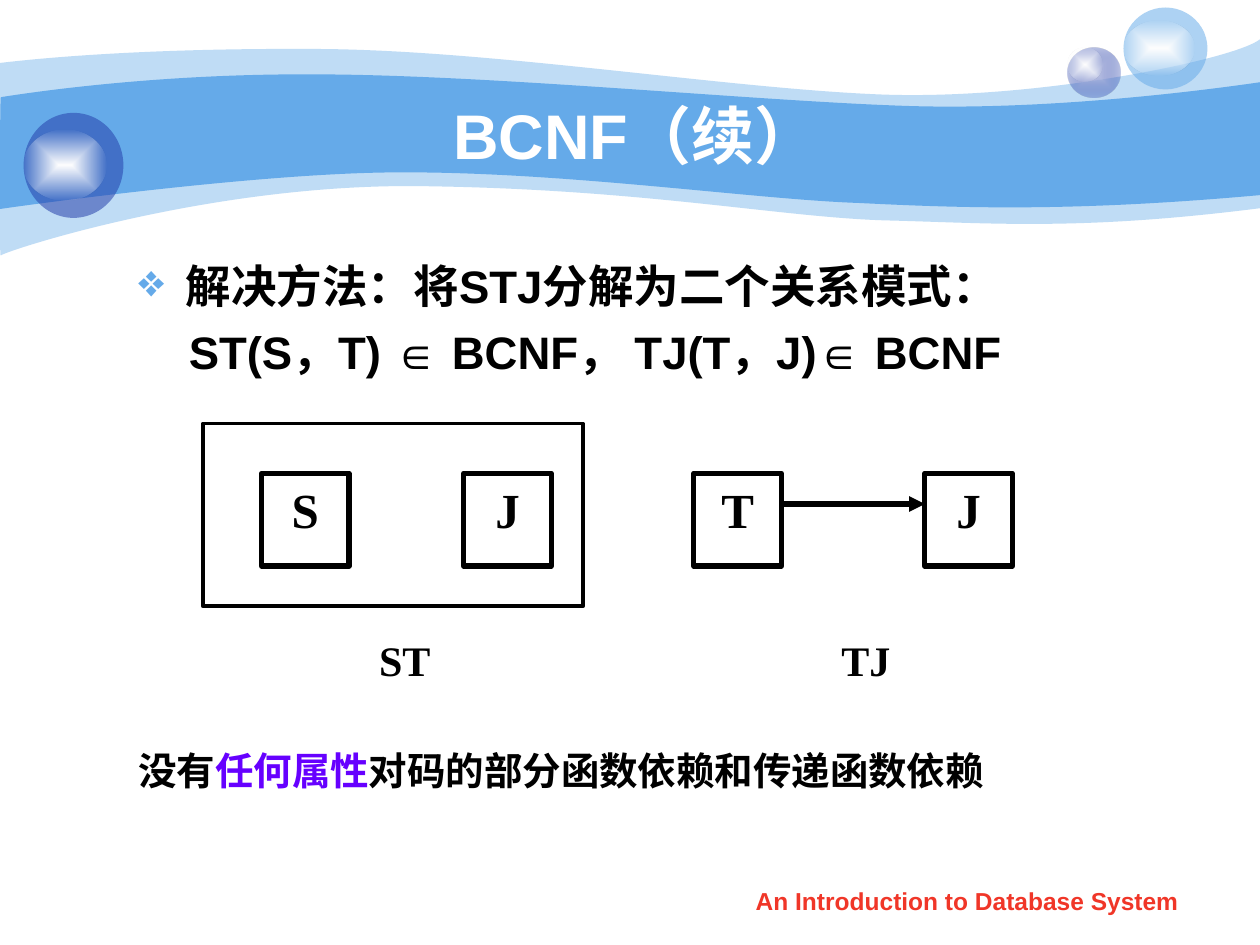
from itertools import chain
from lxml.etree import SubElement
from pptx import Presentation
from pptx.dml.color import RGBColor
from pptx.enum.shapes import MSO_CONNECTOR as Connector, MSO_SHAPE as Shape
from pptx.enum.text import MSO_ANCHOR as Anchor, PP_ALIGN as Align
from pptx.oxml import parse_xml
from pptx.oxml.ns import nsdecls, qn
from pptx.util import Pt

THEME = {
    "sky": "65AAE9", "navy": "233DA9", "mist": "C6CCE8", "white": "FFFFFF",
    "glow": "FEFEFE", "ink": "000000", "accent": "6600FF", "red": "F03628",
    "sans": "Arial", "serif": "Times New Roman",
    "title": 36, "body": 26, "conclusion": 22, "node": 28, "label": 24, "footer": 14,
}

WAVES = [
    (41, (0, 36), [
        [(17, 34), (77, 27.5), (178, 28)],
        [(278, 28), (414, 50.5), (503, 54)],
        [(592, 57.5), (705.5, 34), (720, 22.5)],
        [(720, 22.5), (720, 119), (720, 119)],
        [(618, 132), (566.5, 127.5), (507.5, 126)],
        [(448, 124.5), (371, 108.5), (247, 106.5)],
        [(124, 103.5), (3, 143.5), (0.5, 146)],
        [(-0.5, 150), (0, 54), (0, 36)],
    ]),
    (100, (0.5, 55.5), [
        [(1.5, 55.5), (79, 42), (178.5, 42.5)],
        [(278, 42.5), (428.5, 57.5), (517, 60.5)],
        [(605.5, 63.5), (702.5, 49.5), (720, 47)],
        [(720, 47), (720, 111.5), (720, 111.5)],
        [(614, 121), (551, 119), (491, 116)],
        [(431.5, 114), (322, 98), (228, 98.5)],
        [(146, 98.5), (-1.5, 119.5), (-0.5, 119.5)],
        [(0, 119.5), (0, 55.5), (0.5, 55.5)],
    ]),
]

GLOW = [("white", 100), ("glow", 0)]
BUBBLES = [
    ((610, 27, 30, 29), [("mist", 100), ("navy", 31)]),
    ((610, 27, 20, 19.5), GLOW),
    ((642, 4.3, 48, 46.8), [("sky", 53)]),
    ((642, 12, 40.3, 31), GLOW),
    ((13.5, 64.5, 57, 60), [("navy", 53)]),
    ((13.5, 74.2, 47.5, 40.3), GLOW),
]

TITLE = "BCNF（续）"
BODY = ["解决方法：将STJ分解为二个关系模式：", "ST(S，T) ∈ BCNF， TJ(T，J)∈ BCNF"]
CONCLUSION = [("没有", "ink"), ("任何属性", "accent"), ("对码的部分函数依赖和传递函数依赖", "ink")]
FOOTER = "An Introduction to Database System"

NODES = [("S", 149.5), ("J", 265), ("T", 396.5), ("J", 528.5)]
LABELS = [("ST", 198.5), ("TJ", 462)]
NODE_TOP, NODE_WIDTH, NODE_HEIGHT = 270.5, 50, 53
LABEL_TOP, LABEL_WIDTH = 359, 65.5
FRAME = (116, 242, 217, 104.5)
ARROW_Y = 288
HANGING = 27


def color(name):
    return RGBColor.from_string(THEME[name])


def paint(shape, stops):
    if len(stops) == 1:
        name, opacity = stops[0]
        shape.fill.solid()
        shape.fill.fore_color.rgb = color(name)
        tint = shape.element.spPr.find(".//" + qn("a:srgbClr"))
        SubElement(tint, qn("a:alpha"), val=str(opacity * 1000))
    else:
        shape.fill.background()
        marks = "".join(
            f'<a:gs pos="{place}"><a:srgbClr val="{THEME[name]}">'
            f'<a:alpha val="{opacity * 1000}"/></a:srgbClr></a:gs>'
            for place, (name, opacity) in zip((0, 100000), stops))
        gradient = parse_xml(
            f'<a:gradFill {nsdecls("a")} rotWithShape="1"><a:gsLst>{marks}</a:gsLst>'
            '<a:path path="rect"><a:fillToRect l="50000" t="50000" r="50000" b="50000"/>'
            '</a:path></a:gradFill>')
        blank = shape.element.spPr.find(qn("a:noFill"))
        blank.getparent().replace(blank, gradient)
    shape.line.fill.background()
    shape.shadow.inherit = False


def add_wave(page, opacity, start, curves):
    builder = page.shapes.build_freeform(Pt(start[0]), Pt(start[1]))
    builder.add_line_segments([(Pt(x), Pt(y)) for x, y in chain(*curves)])
    wave = builder.convert_to_shape()
    segments = wave.element.xpath(".//a:lnTo")
    for first in range(0, len(segments), 3):
        curve = parse_xml(f'<a:cubicBezTo {nsdecls("a")}/>')
        segments[first].addprevious(curve)
        for segment in segments[first:first + 3]:
            curve.append(segment[0])
            segment.getparent().remove(segment)
    paint(wave, [("sky", opacity)])


def add_span(para, text, size, font="sans", ink="ink"):
    span = para.add_run()
    span.text = text
    span.font.size = Pt(THEME[size])
    span.font.name = THEME[font]
    span.font.bold = True
    span.font.color.rgb = color(ink)


def first_para(box, align=Align.LEFT, anchor=Anchor.TOP):
    box.text_frame.word_wrap = True
    box.text_frame.vertical_anchor = anchor
    para = box.text_frame.paragraphs[0]
    para.alignment = align
    return para


def add_box(page, *place):
    return page.shapes.add_textbox(*map(Pt, place))


def add_outline(page, place, width):
    box = page.shapes.add_shape(Shape.RECTANGLE, *map(Pt, place))
    box.shadow.inherit = False
    box.fill.background()
    box.line.color.rgb = color("ink")
    box.line.width = Pt(width)
    return box


def add_body(page):
    box = add_box(page, 72, 144, 612, 90)
    para = first_para(box)
    props = para._p.get_or_add_pPr()
    props.set("marL", str(Pt(HANGING)))
    props.set("indent", str(-Pt(HANGING)))
    SubElement(SubElement(props, qn("a:buClr")), qn("a:srgbClr"), val=THEME["sky"])
    SubElement(props, qn("a:buChar"), char="❖")
    add_span(para, BODY[0], "body")
    para = box.text_frame.add_paragraph()
    para.space_before = Pt(6.5)
    para._p.get_or_add_pPr().set("marL", str(Pt(28.8)))
    add_span(para, BODY[1], "body")


def add_diagram(page):
    for text, left in NODES:
        box = add_outline(page, (left, NODE_TOP, NODE_WIDTH, NODE_HEIGHT), 3)
        add_span(first_para(box, Align.CENTER), text, "node", "serif")
    for text, left in LABELS:
        box = add_box(page, left, LABEL_TOP, LABEL_WIDTH, NODE_HEIGHT)
        add_span(first_para(box, Align.CENTER), text, "label", "serif")
    add_outline(page, FRAME, 2.25)
    start, end = NODES[2][1] + NODE_WIDTH, NODES[3][1]
    arrow = page.shapes.add_connector(
        Connector.STRAIGHT, Pt(start), Pt(ARROW_Y), Pt(end), Pt(ARROW_Y))
    arrow.line.color.rgb = color("ink")
    arrow.line.width = Pt(3)
    SubElement(arrow.line._get_or_add_ln(), qn("a:tailEnd"), type="triangle")
    SubElement(arrow.element.spPr, qn("a:effectLst"))


def main():
    deck = Presentation()
    deck.slide_width, deck.slide_height = Pt(720), Pt(540)
    page = deck.slides.add_slide(deck.slide_layouts[6])
    for wave in WAVES:
        add_wave(page, *wave)
    for place, stops in BUBBLES:
        paint(page.shapes.add_shape(Shape.OVAL, *map(Pt, place)), stops)
    title = add_box(page, 72, 54, 582, 45)
    add_span(first_para(title, Align.CENTER, Anchor.MIDDLE), TITLE, "title", ink="white")
    add_body(page)
    add_diagram(page)
    para = first_para(add_box(page, 72, 422, 612, 36), anchor=Anchor.MIDDLE)
    for text, ink in CONCLUSION:
        add_span(para, text, "conclusion", ink=ink)
    footer = add_box(page, 411, 502.5, 283.5, 25)
    add_span(first_para(footer, Align.CENTER), FOOTER, "footer", ink="red")
    deck.save("out.pptx")


if __name__ == "__main__":
    main()
